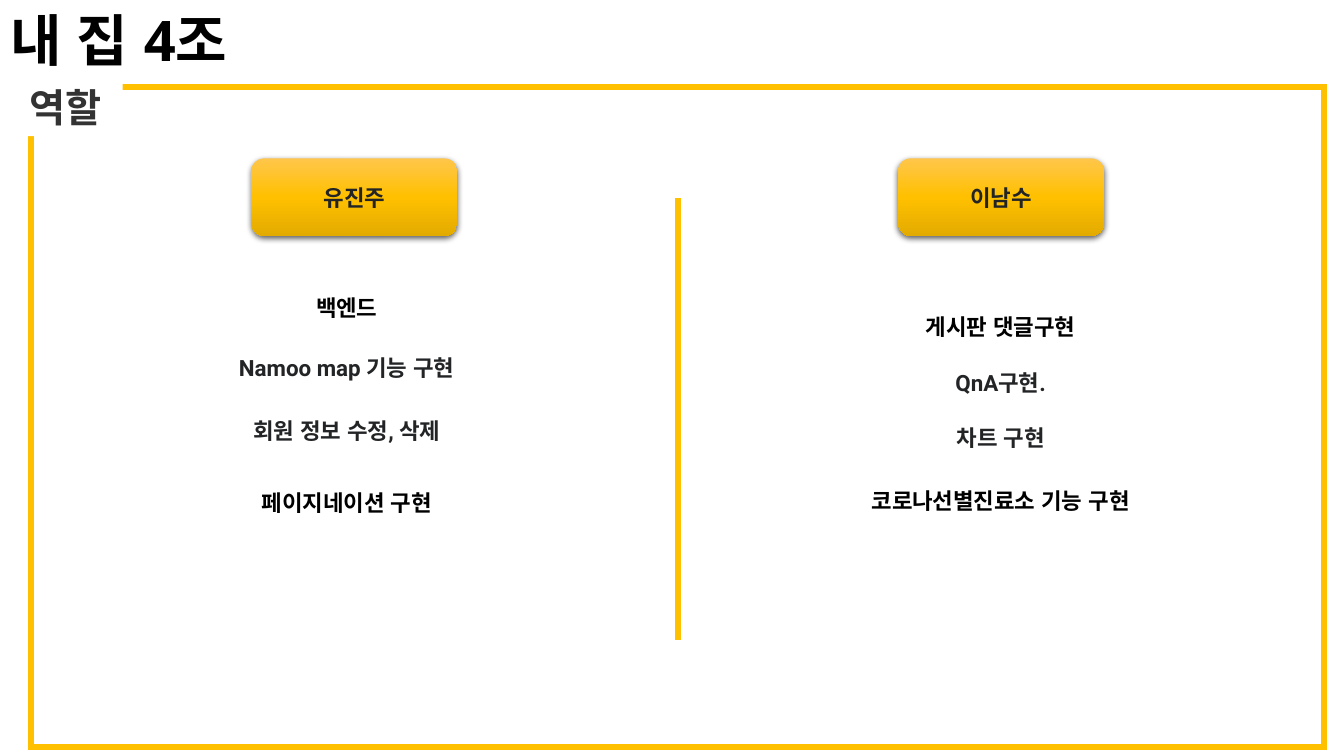
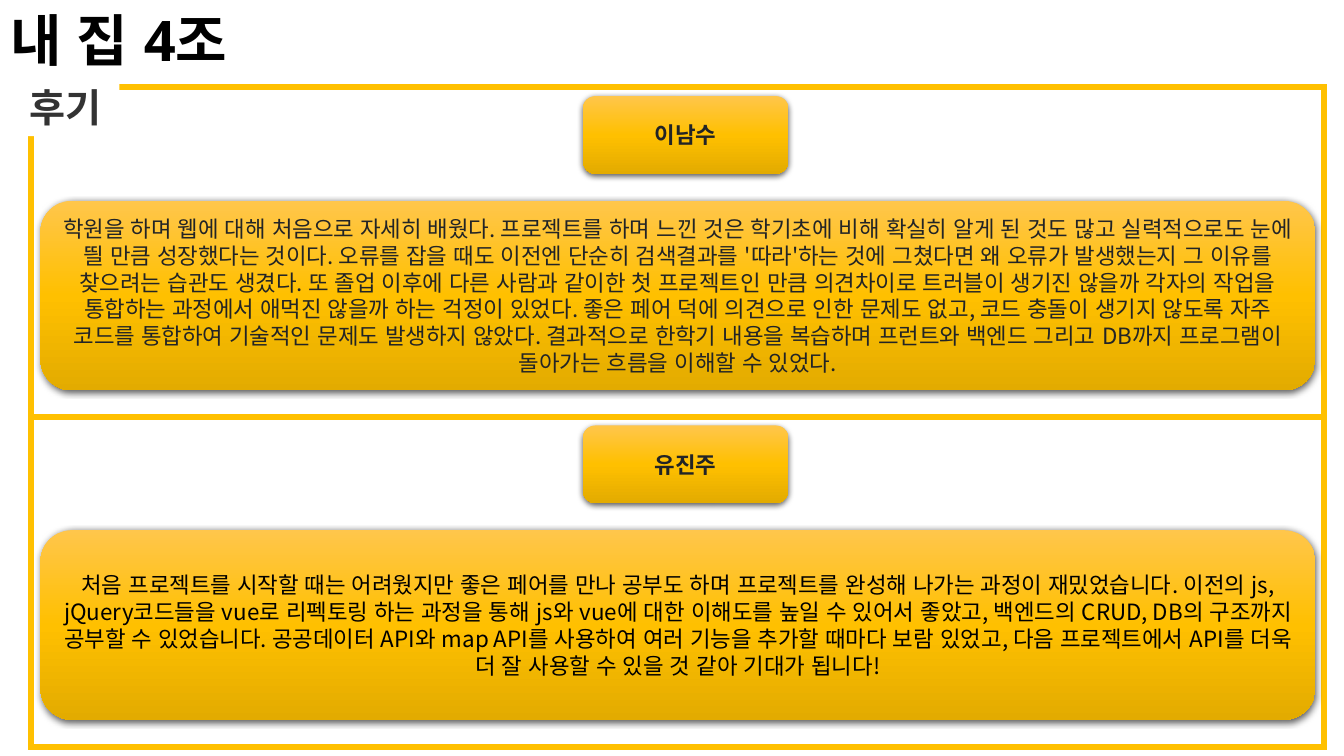
"""Builds the team role and review slides."""
from lxml import etree
from pptx import Presentation
from pptx.dml.color import RGBColor
from pptx.enum.shapes import MSO_CONNECTOR, MSO_SHAPE
from pptx.enum.text import MSO_ANCHOR, PP_ALIGN
from pptx.oxml import parse_xml
from pptx.oxml.ns import nsdecls, qn
from pptx.util import Cm, Pt

RECT, ROUND = MSO_SHAPE.RECTANGLE, MSO_SHAPE.ROUNDED_RECTANGLE
STRAIGHT = MSO_CONNECTOR.STRAIGHT
TOP, MIDDLE = MSO_ANCHOR.TOP, MSO_ANCHOR.MIDDLE
LEFT, CENTER = PP_ALIGN.LEFT, PP_ALIGN.CENTER

BLACK = RGBColor(0x00, 0x00, 0x00)
WHITE = RGBColor(0xFF, 0xFF, 0xFF)
LABEL_GREY = RGBColor(0x33, 0x33, 0x33)
INK = RGBColor(0x22, 0x24, 0x26)
AMBER = RGBColor(0xFF, 0xC0, 0x00)
GRADIENT = ((0, RGBColor(0xFF, 0xC6, 0x4B)), (50, AMBER), (100, RGBColor(0xE3, 0xAB, 0x00)))

TITLE_FONT, NAME_FONT, PLAIN_FONT = "Noto Sans", "Roboto", "Arial"
BODY_FONT, EAST_ASIAN_FONT = "Noto Sans CJK KR", "Arial"

TITLE = "내 집 4조"
FRAME_X, FRAME_Y, FRAME_W, FRAME_H = 0.79, 2.19, 32.58, 16.63
NAME_W, NAME_H = 5.18, 1.96
TASK_W, TASK_H = 9.55, 0.94
REVIEW_X, REVIEW_W, REVIEW_H = 1.02, 32.13, 4.78

ROLES = (
    ("유진주", 8.93, 8.74, (
        ("백엔드", 7.29), ("Namoo map 기능 구현", 8.81),
        ("회원 정보 수정, 삭제", 10.39), ("페이지네이션 구현", 12.2))),
    ("이남수", 25.23, 25.22, (
        ("게시판 댓글구현", 7.77), ("QnA구현.", 9.17),
        ("차트 구현", 10.57), ("코로나선별진료소 기능 구현", 12.15))),
)

REVIEWS = (
    ("이남수", 2.42, INK,
     "학원을 하며 웹에 대해 처음으로 자세히 배웠다. 프로젝트를 하며 느낀 것은 학기초에 비해 "
     "확실히 알게 된 것도 많고 실력적으로도 눈에 띌 만큼 성장했다는 것이다. 오류를 잡을 때도 "
     "이전엔 단순히 검색결과를 '따라'하는 것에 그쳤다면 왜 오류가 발생했는지 그 이유를 찾으려는 "
     "습관도 생겼다. 또 졸업 이후에 다른 사람과 같이한 첫 프로젝트인 만큼 의견차이로 트러블이 "
     "생기진 않을까 각자의 작업을 통합하는 과정에서 애먹진 않을까 하는 걱정이 있었다. 좋은 페어 "
     "덕에 의견으로 인한 문제도 없고, 코드 충돌이 생기지 않도록 자주 코드를 통합하여 기술적인 "
     "문제도 발생하지 않았다. 결과적으로 한학기 내용을 복습하며 프런트와 백엔드 그리고 DB까지 "
     "프로그램이 돌아가는 흐름을 이해할 수 있었다."),
    ("유진주", 10.72, BLACK,
     "처음 프로젝트를 시작할 때는 어려웠지만 좋은 페어를 만나 공부도 하며 프로젝트를 완성해 "
     "나가는 과정이 재밌었습니다. 이전의 js, jQuery코드들을 vue로 리펙토링 하는 과정을 통해 "
     "js와 vue에 대한 이해도를 높일 수 있어서 좋았고, 백엔드의 CRUD, DB의 구조까지 공부할 수 "
     "있었습니다. 공공데이터 API와 map API를 사용하여 여러 기능을 추가할 때마다 보람 있었고, "
     "다음 프로젝트에서 API를 더욱 더 잘 사용할 수 있을 것 같아 기대가 됩니다!"),
)


def place(sp, x, y, w, h):
    """Set the position and size of a shape in centimetres."""
    sp.left, sp.top, sp.width, sp.height = Cm(x), Cm(y), Cm(w), Cm(h)


def write(sp, text, size, font, color, bold=True, align=CENTER, anchor=TOP, wrap=True):
    """Fill a shape with one formatted paragraph."""
    tf = sp.text_frame
    tf.text = text
    tf.word_wrap = wrap
    tf.vertical_anchor = anchor
    p = tf.paragraphs[0]
    p.alignment = align
    r = p.runs[0]
    r.font.size, r.font.bold, r.font.name = Pt(size), bold, font
    r.font.color.rgb = color
    ea = etree.SubElement(r.font._element, qn("a:ea"))
    ea.set("typeface", EAST_ASIAN_FONT)


def add_text(s, x, y, w, h, text, size, font, color, **style):
    """Add a text box and return it."""
    sp = s.shapes.add_textbox(Cm(x), Cm(y), Cm(w), Cm(h))
    write(sp, text, size, font, color, **style)
    return sp


def style_line(line):
    """Give an outline the thick amber stroke with sharp corners."""
    line.color.rgb = AMBER
    line.width = Pt(4.5)
    etree.SubElement(line._get_or_add_ln(), qn("a:miter")).set("lim", "800000")


def add_rule(s, x1, y1, x2, y2):
    """Add a thick amber line."""
    rule = s.shapes.add_connector(STRAIGHT, Cm(x1), Cm(y1), Cm(x2), Cm(y2))
    style_line(rule.line)
    etree.SubElement(rule._element.spPr, qn("a:effectLst"))


def add_card(s, x, y, w, h, text, font, color, bold):
    """Add a rounded amber card with a gradient and a soft shadow."""
    sp = s.shapes.add_shape(ROUND, Cm(x), Cm(y), Cm(w), Cm(h))
    stops = "".join(
        f'<a:gs pos="{pos * 1000}"><a:srgbClr val="{color_stop}"/></a:gs>'
        for pos, color_stop in GRADIENT)
    spPr = sp._element.spPr
    spPr.append(parse_xml(
        f'<a:gradFill {nsdecls("a")} rotWithShape="1"><a:gsLst>{stops}</a:gsLst>'
        '<a:lin ang="5400000" scaled="0"/></a:gradFill>'))
    sp.line.fill.background()
    sp.shadow.inherit = False
    spPr.find(qn("a:effectLst")).append(parse_xml(
        f'<a:outerShdw {nsdecls("a")} blurRad="{Pt(4.5)}" dist="{Pt(1.5)}" dir="5400000" '
        'algn="ctr" rotWithShape="0"><a:srgbClr val="000000"><a:alpha val="63000"/>'
        '</a:srgbClr></a:outerShdw>'))
    write(sp, text, 16, font, color, bold=bold, anchor=MIDDLE)


def add_name(s, center, y, name):
    """Add the name card of a team member around a centre line."""
    add_card(s, center - NAME_W / 2, y, NAME_W, NAME_H, name, NAME_FONT, INK, True)


def add_page(prs, label, label_w):
    """Add a slide with the team title, the frame and its section label."""
    s = prs.slides.add_slide(prs.slide_layouts[5])
    title = s.shapes.title
    place(title, 0, 0, 18.47, 1.96)
    write(title, TITLE, 40, TITLE_FONT, BLACK, align=LEFT)
    frame = s.shapes.add_shape(RECT, Cm(FRAME_X), Cm(FRAME_Y), Cm(FRAME_W), Cm(FRAME_H))
    frame.fill.background()
    style_line(frame.line)
    frame.shadow.inherit = False
    tag = add_text(s, 0.5, 1.98, label_w, 1.45, label, 28, TITLE_FONT, LABEL_GREY,
                   align=LEFT, wrap=False)
    tag.fill.solid()
    tag.fill.fore_color.rgb = WHITE
    return s


def build_roles(prs):
    """Build the slide that lists the tasks of each member."""
    s = add_page(prs, "역할", 2.59)
    add_rule(s, 17.08, 16.13, 17.08, 4.98)
    for name, name_center, task_center, tasks in ROLES:
        add_name(s, name_center, 3.99, name)
        for i, (task, y) in enumerate(tasks):
            outer = i in (0, len(tasks) - 1)
            font, color = (PLAIN_FONT, BLACK) if outer else (NAME_FONT, INK)
            add_text(s, task_center - TASK_W / 2, y, TASK_W, TASK_H, task, 16, font, color)


def build_reviews(prs):
    """Build the slide with the review of each member."""
    s = add_page(prs, "후기", 2.51)
    add_rule(s, FRAME_X, 10.51, FRAME_X + FRAME_W, 10.51)
    for name, y, color, review in REVIEWS:
        add_name(s, 17.28, y, name)
        add_card(s, REVIEW_X, y + 2.64, REVIEW_W, REVIEW_H, review, BODY_FONT, color, False)


def main():
    """Build and save the presentation."""
    prs = Presentation()
    prs.slide_width, prs.slide_height = Cm(33.87), Cm(19.05)
    build_roles(prs)
    build_reviews(prs)
    prs.save("out.pptx")


if __name__ == "__main__":
    main()
